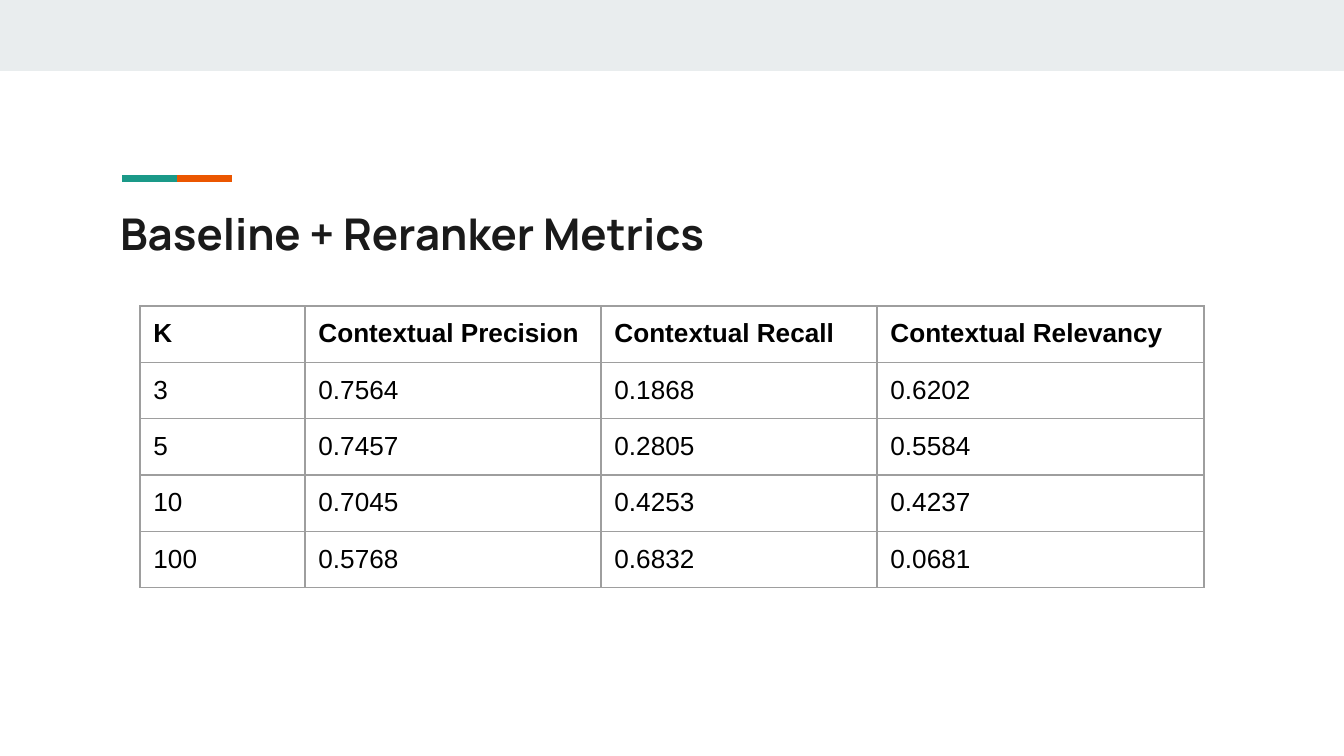
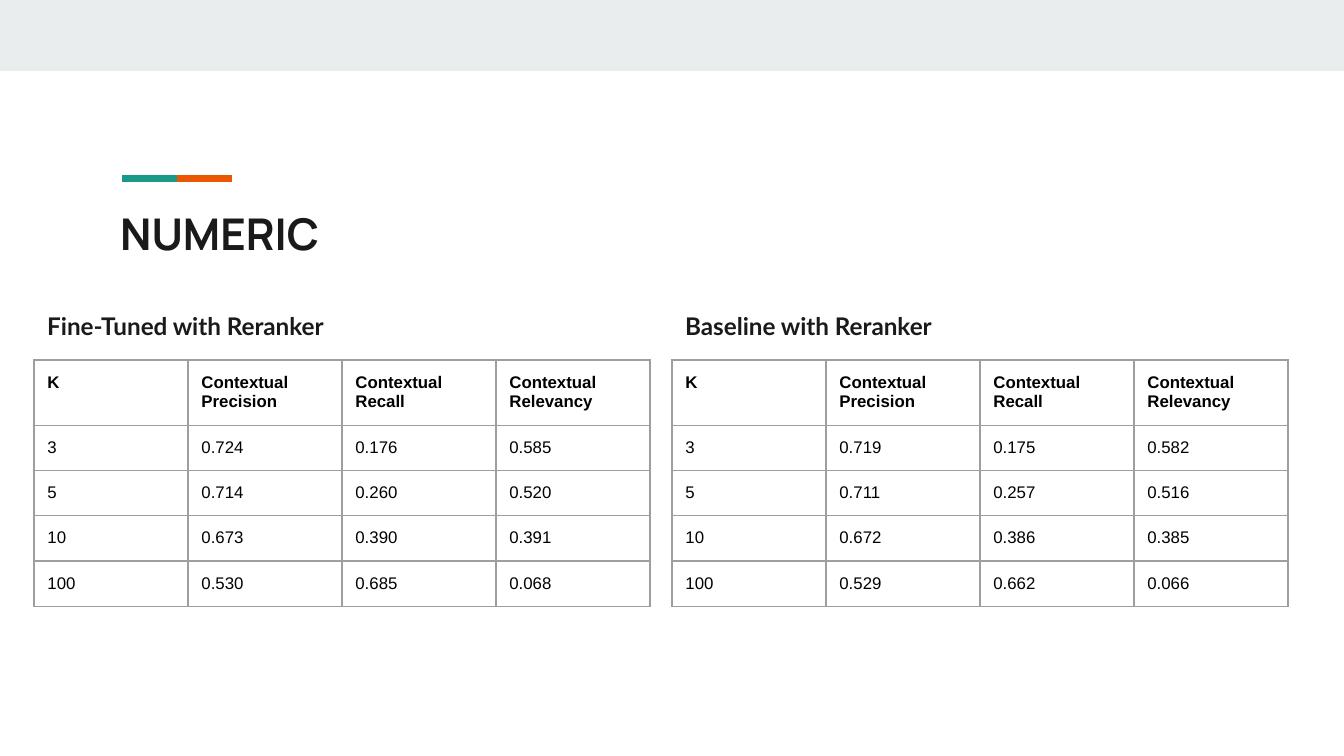
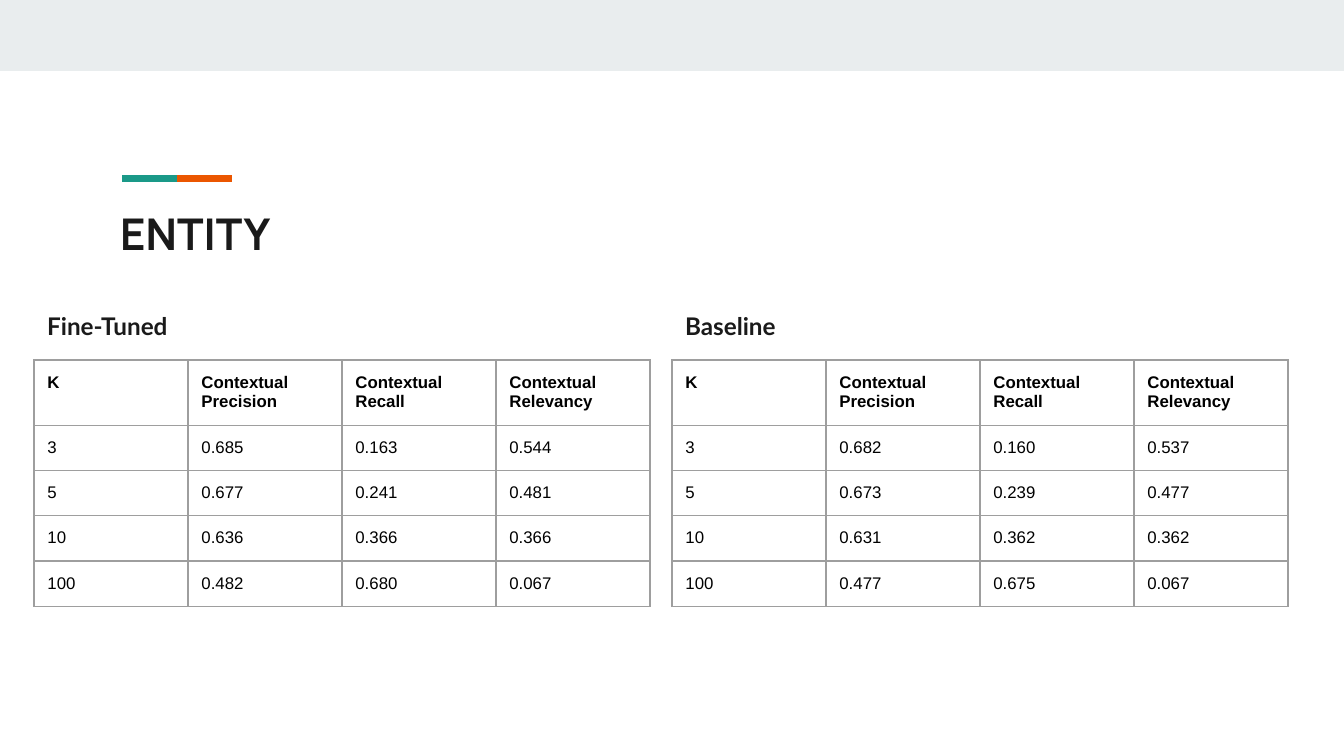
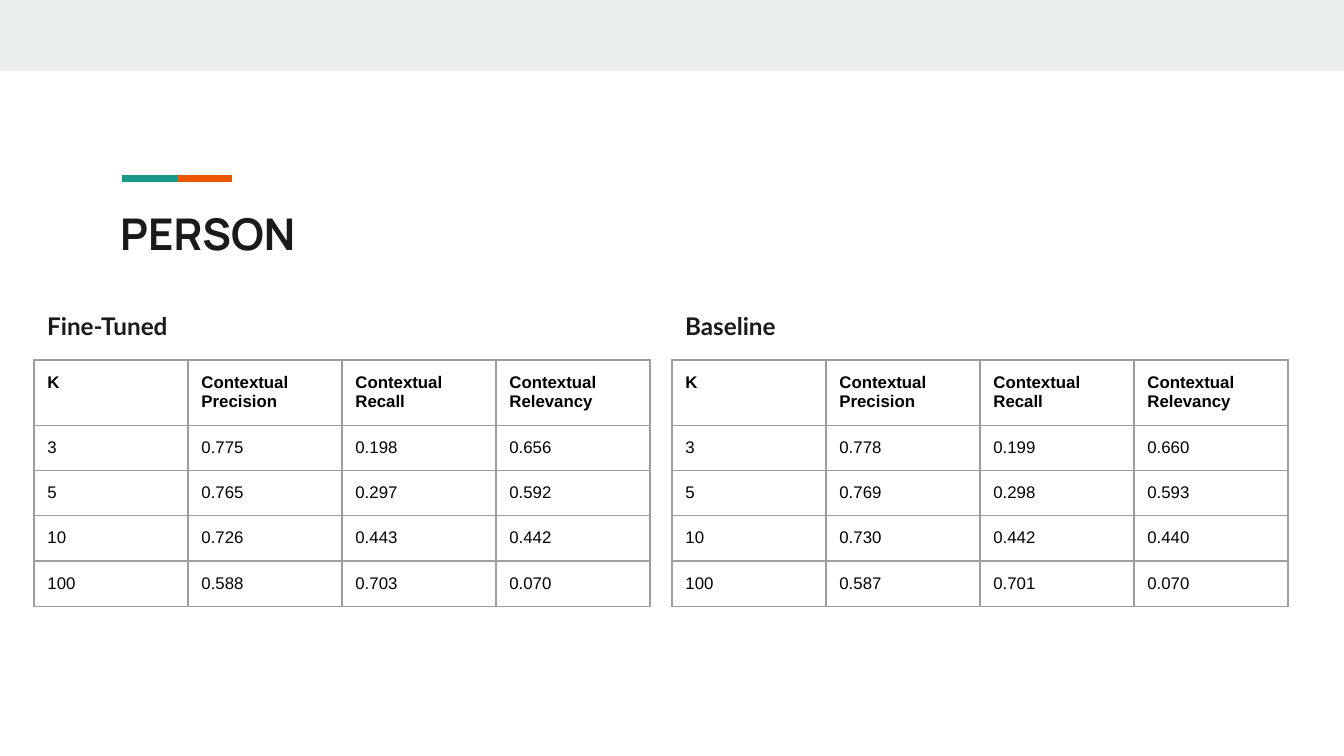
from dataclasses import dataclass

from lxml import etree
from pptx import Presentation
from pptx.dml.color import RGBColor
from pptx.enum.shapes import MSO_SHAPE
from pptx.enum.text import MSO_ANCHOR
from pptx.oxml.ns import qn
from pptx.util import Emu, Inches, Pt

RECTANGLE = MSO_SHAPE.RECTANGLE
TOP, MIDDLE = MSO_ANCHOR.TOP, MSO_ANCHOR.MIDDLE

# Content
HEADER = ("K", "Contextual Precision", "Contextual Recall", "Contextual Relevancy")

OVERVIEW = {
    "title": "Baseline + Reranker Metrics",
    "rows": [
        ("3", "0.7564", "0.1868", "0.6202"),
        ("5", "0.7457", "0.2805", "0.5584"),
        ("10", "0.7045", "0.4253", "0.4237"),
        ("100", "0.5768", "0.6832", "0.0681"),
    ],
}

COMPARISONS = [
    ("NUMERIC", {
        "Fine-Tuned with Reranker": [
            ("3", "0.724", "0.176", "0.585"),
            ("5", "0.714", "0.260", "0.520"),
            ("10", "0.673", "0.390", "0.391"),
            ("100", "0.530", "0.685", "0.068"),
        ],
        "Baseline with Reranker": [
            ("3", "0.719", "0.175", "0.582"),
            ("5", "0.711", "0.257", "0.516"),
            ("10", "0.672", "0.386", "0.385"),
            ("100", "0.529", "0.662", "0.066"),
        ],
    }),
    ("ENTITY", {
        "Fine-Tuned": [
            ("3", "0.685", "0.163", "0.544"),
            ("5", "0.677", "0.241", "0.481"),
            ("10", "0.636", "0.366", "0.366"),
            ("100", "0.482", "0.680", "0.067"),
        ],
        "Baseline": [
            ("3", "0.682", "0.160", "0.537"),
            ("5", "0.673", "0.239", "0.477"),
            ("10", "0.631", "0.362", "0.362"),
            ("100", "0.477", "0.675", "0.067"),
        ],
    }),
    ("PERSON", {
        "Fine-Tuned": [
            ("3", "0.775", "0.198", "0.656"),
            ("5", "0.765", "0.297", "0.592"),
            ("10", "0.726", "0.443", "0.442"),
            ("100", "0.588", "0.703", "0.070"),
        ],
        "Baseline": [
            ("3", "0.778", "0.199", "0.660"),
            ("5", "0.769", "0.298", "0.593"),
            ("10", "0.730", "0.442", "0.440"),
            ("100", "0.587", "0.701", "0.070"),
        ],
    }),
]


# Theme
@dataclass(frozen=True)
class Theme:
    band: str = "E9EDEE"
    teal: str = "1A9988"
    orange: str = "EB5600"
    ink: str = "1A1A1A"
    cell_ink: str = "000000"
    grid: str = "9E9E9E"
    title_font: str = "Manrope"
    label_font: str = "Lato"
    table_font: str = "Arial"
    title_size: float = 23.4
    label_size: float = 13
    large_table_size: float = 14
    small_table_size: float = 9
    grid_width: float = 0.75


THEME = Theme()

# Layout, in px
EMU_PER_PX = 914400 / 134.4
PAGE_WIDTH, PAGE_HEIGHT = 1344, 756
INSET = Inches(0.1)
CELL_TOP, CELL_BOTTOM = 13, 12
BAND = (0, 0, PAGE_WIDTH, 71)
TITLE = (107, 194, 1130, 79)
OVERVIEW_AT = (140, 306)
OVERVIEW_COLUMNS = (165, 296, 276, 327)
OVERVIEW_ROWS = (56,) * 5
PAIR_LEFT, PAIR_STEP = 34, 638
LABEL_TOP, LABEL_WIDTH, LABEL_HEIGHT = 298, 505, 38
PAIR_TOP = 360
PAIR_COLUMNS = (154,) * 4
PAIR_ROWS = (47, 35, 31, 31, 31)  # minimum heights; rows grow to fit their text

# Accent line: upright bars turned on their side, in the group's own units
ACCENT = (122, 175, 110, 7)
ACCENT_SPACE = (1565, 38)
ACCENT_BAR = (37, 782)
ACCENT_CENTERS = [(1174, THEME.orange), (391, THEME.teal)]


def px(length):
    return Emu(round(length * EMU_PER_PX))


def style_text(frame, font, size, color, bold):
    for para in frame.paragraphs:
        for span in para.runs:
            span.font.name = font
            span.font.size = Pt(size)
            span.font.bold = bold
            span.font.color.rgb = RGBColor.from_string(color)


def set_margins(target, top=INSET, bottom=INSET):
    target.margin_left = target.margin_right = INSET
    target.margin_top, target.margin_bottom = top, bottom


def add_bar(shapes, place, color):
    bar = shapes.add_shape(RECTANGLE, *map(px, place))
    bar.shadow.inherit = False
    bar.fill.solid()
    bar.fill.fore_color.rgb = RGBColor.from_string(color)
    bar.line.fill.background()
    return bar


def add_accent(page):
    group = page.shapes.add_group_shape()
    width, height = ACCENT_BAR
    top = (ACCENT_SPACE[1] - height) // 2
    for center, color in ACCENT_CENTERS:
        bar = add_bar(group.shapes, (center - width // 2, top, width, height), color)
        bar.rotation = 270
    group.left, group.top, group.width, group.height = map(px, ACCENT)
    frame = group._element.grpSpPr.find(qn("a:xfrm"))
    origin, extent = frame.find(qn("a:chOff")), frame.find(qn("a:chExt"))
    for name in ("x", "y"):
        origin.set(name, "0")
    for name, length in zip(("cx", "cy"), ACCENT_SPACE):
        extent.set(name, str(int(px(length))))


def add_text(page, place, text, font, size, anchor):
    frame = page.shapes.add_textbox(*map(px, place)).text_frame
    frame.word_wrap = True
    frame.vertical_anchor = anchor
    set_margins(frame)
    frame.text = text
    style_text(frame, font, size, THEME.ink, True)


def add_borders(cell):
    properties = cell._tc.get_or_add_tcPr()
    for side in ("a:lnL", "a:lnR", "a:lnT", "a:lnB"):
        line = etree.SubElement(properties, qn(side), w=str(Pt(THEME.grid_width)))
        fill = etree.SubElement(line, qn("a:solidFill"))
        etree.SubElement(fill, qn("a:srgbClr"), val=THEME.grid)


def add_metrics(page, left, top, columns, heights, rows, size):
    place = (left, top, sum(columns), sum(heights))
    table = page.shapes.add_table(len(heights), len(columns), *map(px, place)).table
    table.first_row = table.horz_banding = False
    for column, width in zip(table.columns, columns):
        column.width = px(width)
    for row, height in zip(table.rows, heights):
        row.height = px(height)
    for row_index, values in enumerate([HEADER, *rows]):
        for column_index, value in enumerate(values):
            cell = table.cell(row_index, column_index)
            set_margins(cell, px(CELL_TOP), px(CELL_BOTTOM))
            add_borders(cell)
            cell.fill.background()
            cell.text_frame.text = value
            style_text(cell.text_frame, THEME.table_font, size,
                       THEME.cell_ink, row_index == 0)


def add_page(deck, title):
    page = deck.slides.add_slide(deck.slide_layouts[6])
    add_bar(page.shapes, BAND, THEME.band)
    add_accent(page)
    add_text(page, TITLE, title, THEME.title_font, THEME.title_size, MIDDLE)
    return page


def main():
    deck = Presentation()
    deck.slide_width, deck.slide_height = px(PAGE_WIDTH), px(PAGE_HEIGHT)

    # Single wide table
    page = add_page(deck, OVERVIEW["title"])
    add_metrics(page, *OVERVIEW_AT, OVERVIEW_COLUMNS, OVERVIEW_ROWS,
                OVERVIEW["rows"], THEME.large_table_size)

    # Two labelled tables side by side
    for title, tables in COMPARISONS:
        page = add_page(deck, title)
        for index, (label, rows) in enumerate(tables.items()):
            left = PAIR_LEFT + index * PAIR_STEP
            add_metrics(page, left, PAIR_TOP, PAIR_COLUMNS, PAIR_ROWS,
                        rows, THEME.small_table_size)
            add_text(page, (left, LABEL_TOP, LABEL_WIDTH, LABEL_HEIGHT), label,
                     THEME.label_font, THEME.label_size, TOP)

    deck.save("out.pptx")


if __name__ == "__main__":
    main()
